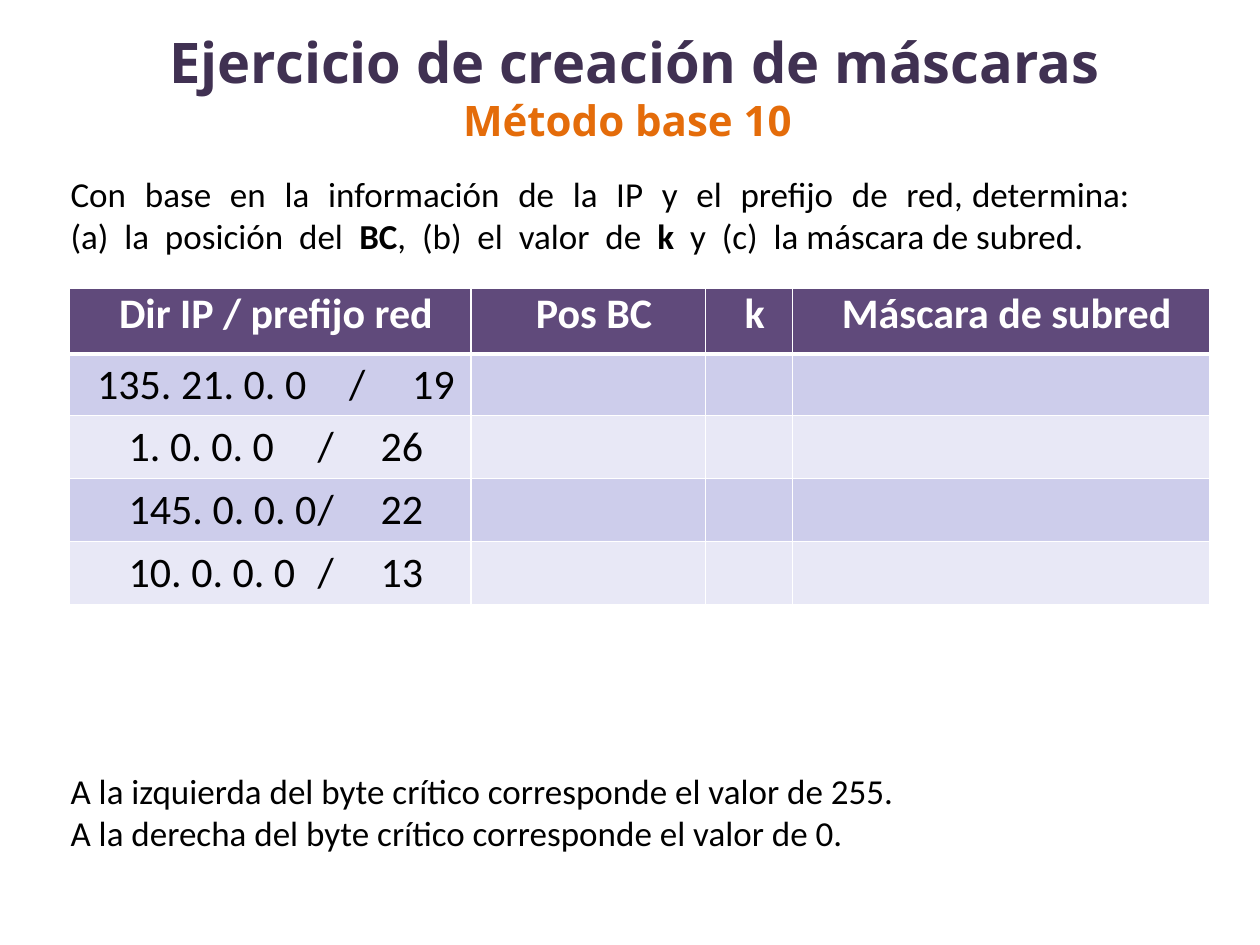
"""Build the slide with the subnet mask exercise."""
from dataclasses import dataclass

from lxml.etree import SubElement
from pptx import Presentation
from pptx.dml.color import RGBColor
from pptx.enum.text import MSO_ANCHOR as Anchor, MSO_AUTO_SIZE as AutoSize, PP_ALIGN as Align
from pptx.oxml.ns import qn
from pptx.util import Inches, Pt

COLORS = {
    "white": "FFFFFF", "black": "000000", "title": "403152", "accent": "E46C0A",
    "header": "604A7B", "band": "CDCDEB", "light": "E8E8F6",
}
COLUMN_WIDTHS = (3.19, 1.86, 0.69, 3.31)
ROW_HEIGHTS = (0.52, 0.49, 0.5, 0.5, 0.5)
HEADERS = ("Dir IP / prefijo red", "Pos BC", "k", "Máscara de subred")
TAB_GAP = 0.26


@dataclass
class Span:
    text: str
    size: int = 20
    color: str = "black"
    bold: bool = False
    font: str = "Calibri"


@dataclass
class Address:
    ip: str
    prefix: int
    tab: float


@dataclass
class TextBlock:
    top: float
    paragraphs: list[list[Span]]


ADDRESSES = (
    Address("135. 21. 0. 0", 19, 1.93),
    Address("1. 0. 0. 0", 26, 1.43),
    Address("145. 0. 0. 0", 22, 1.76),
    Address("10. 0. 0. 0", 13, 1.59),
)
TITLE = [
    [Span("Ejercicio de creación de máscaras", 32, "title", True, "Open Sans")],
    [Span("Método base 10", 24, "accent", True, "Open Sans")],
]
BLOCKS = (
    TextBlock(1.37, [[
        Span("Con  base  en  la  información  de  la  IP  y  el  prefijo  de  red, "
             "determina:  (a)  la  posición  del  "),
        Span("BC", bold=True),
        Span(",  (b)  el  valor  de  "),
        Span("k", bold=True),
        Span("  y  (c)  la máscara de subred."),
    ]]),
    TextBlock(6.11, [
        [Span("A la izquierda del byte crítico corresponde el valor de 255.")],
        [Span("A la derecha del byte crítico corresponde el valor de 0.")],
    ]),
)


def apply(target: object, values: dict) -> None:
    for name, value in values.items():
        setattr(target, name, value)


def place(shape, left: float, top: float, width: float, height: float) -> None:
    box = dict(left=left, top=top, width=width, height=height)
    apply(shape, {name: Inches(value) for name, value in box.items()})


def write(frame, paragraphs: list[list[Span]], align: Align, indent: float) -> None:
    for index, spans in enumerate(paragraphs):
        para = frame.add_paragraph() if index else frame.paragraphs[0]
        apply(para, {"alignment": align, "space_before": Pt(0)})
        properties = para._p.get_or_add_pPr()
        properties.set("marL", str(Inches(indent)))
        properties.set("indent", "0")
        SubElement(properties, qn("a:buNone"))
        for span in spans:
            run = para.add_run()
            run.text = span.text
            apply(run.font, {"size": Pt(span.size), "bold": span.bold, "name": span.font})
            run.font.color.rgb = RGBColor.from_string(COLORS[span.color])


def add_tabs(para, stops: tuple[float, ...]) -> None:
    tabs = SubElement(para._p.get_or_add_pPr(), qn("a:tabLst"))
    for stop in stops:
        SubElement(tabs, qn("a:tab"), pos=str(Inches(stop)), algn="l")


def style_cell(cell, fill: str, top: int, bottom: int) -> None:
    properties = cell._tc.get_or_add_tcPr()
    for side, width in {"L": 1, "R": 1, "T": top, "B": bottom}.items():
        line = SubElement(properties, qn(f"a:ln{side}"), w=str(Pt(width)))
        SubElement(SubElement(line, qn("a:solidFill")), qn("a:srgbClr"), val=COLORS["white"])
    cell.fill.solid()
    cell.fill.fore_color.rgb = RGBColor.from_string(COLORS[fill])


def fill_cell(cell, span: Span, anchor: Anchor) -> None:
    margins = dict.fromkeys(("margin_left", "margin_right", "margin_top", "margin_bottom"), 0)
    apply(cell, {**margins, "vertical_anchor": anchor})
    write(cell.text_frame, [[span]], Align.CENTER, 0.09)


def add_mask_table(page) -> None:
    size = len(ROW_HEIGHTS), len(COLUMN_WIDTHS)
    table = page.shapes.add_table(
        *size, Inches(0.55), Inches(2.29),
        Inches(sum(COLUMN_WIDTHS)), Inches(sum(ROW_HEIGHTS))).table
    apply(table, {"first_row": False, "horz_banding": False})
    for column, width in zip(table.columns, COLUMN_WIDTHS):
        column.width = Inches(width)
    for index, (row, height) in enumerate(zip(table.rows, ROW_HEIGHTS)):
        row.height = Inches(height)
        fill = "header" if index == 0 else ("light", "band")[index % 2]
        for cell in row.cells:
            style_cell(cell, fill, 3 if index == 1 else 1, 3 if index == 0 else 1)
    for cell, header in zip(table.rows[0].cells, HEADERS):
        fill_cell(cell, Span(header, 24, "white", True), Anchor.TOP)
    for index, address in enumerate(ADDRESSES, 1):
        cell = table.cell(index, 0)
        fill_cell(cell, Span(f"{address.ip}\t/\t{address.prefix}", 24), Anchor.MIDDLE)
        add_tabs(cell.text_frame.paragraphs[0], (address.tab, address.tab + TAB_GAP))


def main() -> None:
    deck = Presentation()
    apply(deck, {"slide_width": Inches(10), "slide_height": Inches(7.5)})
    page = deck.slides.add_slide(deck.slide_layouts.get_by_name("Two Content"))
    title, *bodies = page.placeholders
    place(title, 0.08, 0.06, 9.8, 1.25)
    apply(title.text_frame, {"auto_size": AutoSize.NONE, "vertical_anchor": Anchor.MIDDLE})
    write(title.text_frame, TITLE, Align.CENTER, 0)
    title.text_frame.paragraphs[0]._p.get_or_add_pPr().set("marL", str(Inches(0.12)))
    for body, block in zip(bodies, BLOCKS):
        place(body, 0.55, block.top, 8.5, 0.67)
        margins = dict.fromkeys(("margin_left", "margin_right", "margin_top", "margin_bottom"), 0)
        apply(body.text_frame, {**margins, "auto_size": AutoSize.NONE, "word_wrap": True,
                                "vertical_anchor": Anchor.TOP})
        write(body.text_frame, block.paragraphs, Align.JUSTIFY, 0.01)
    add_mask_table(page)
    deck.save("out.pptx")


main()
